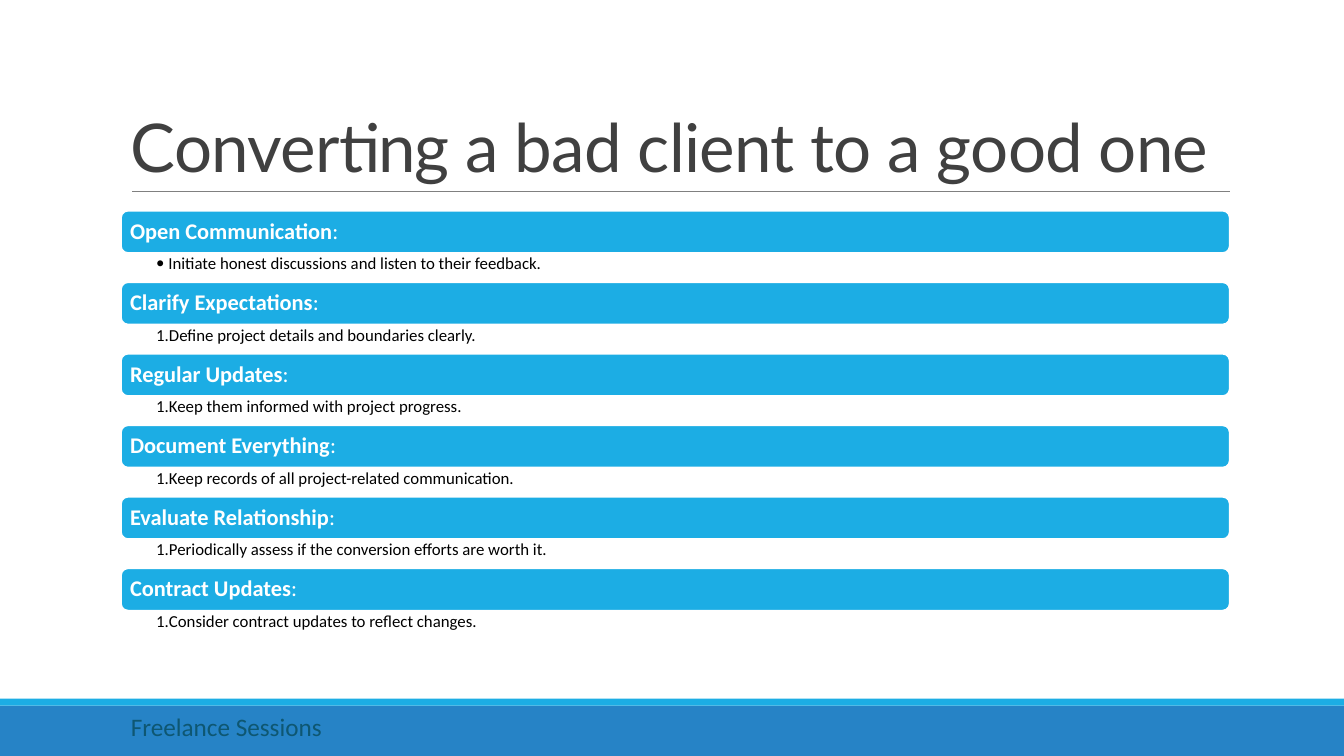
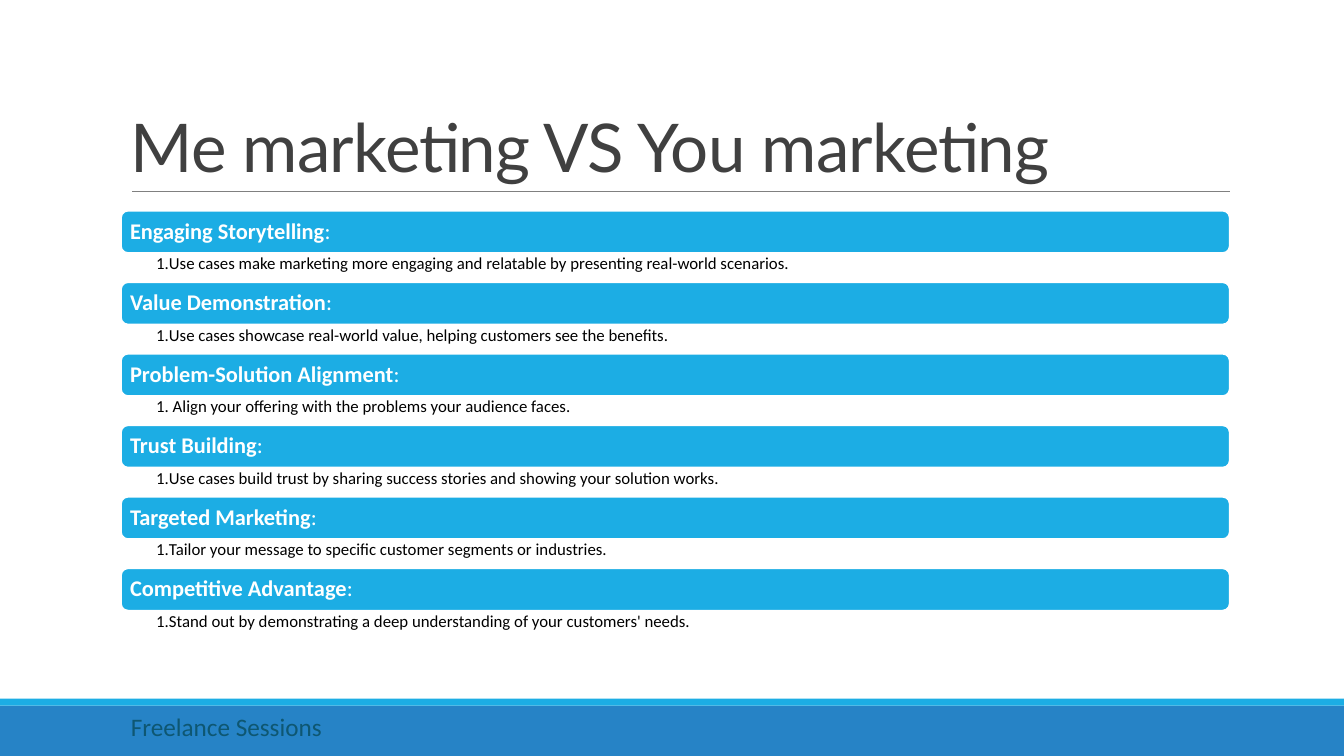
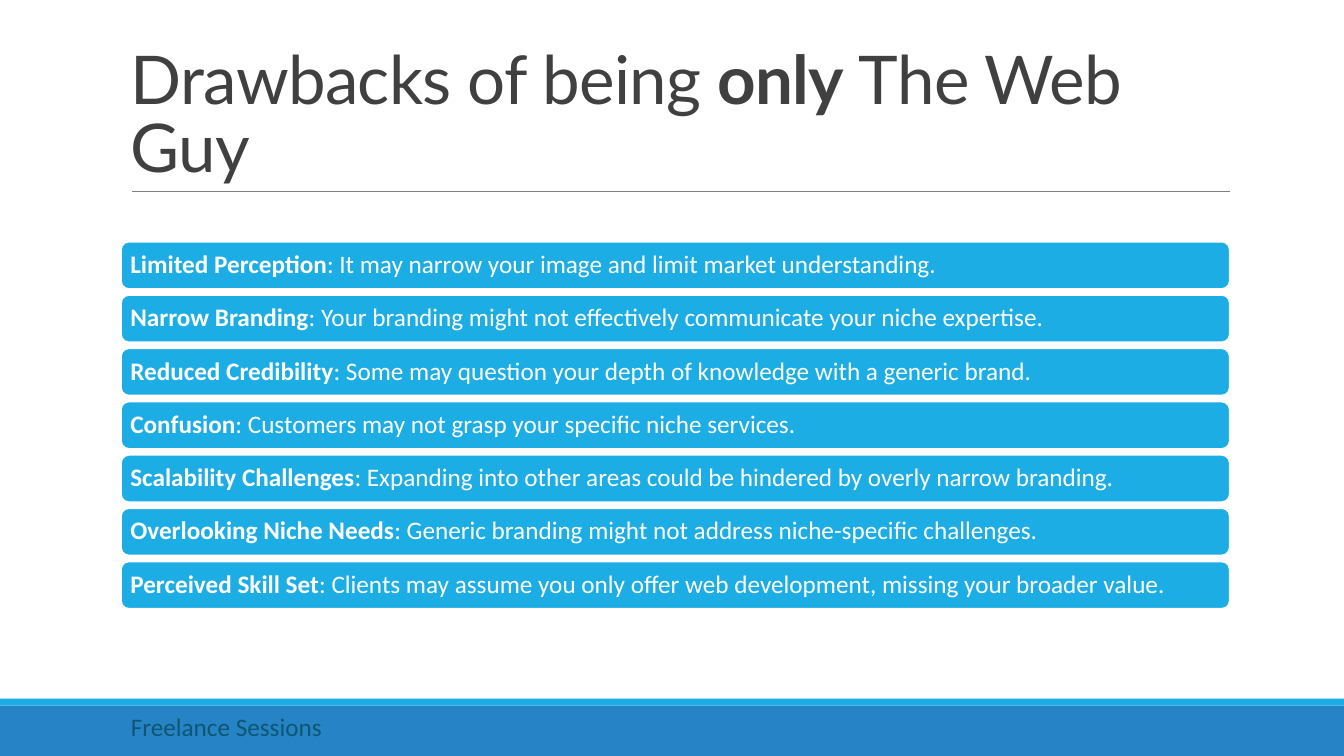
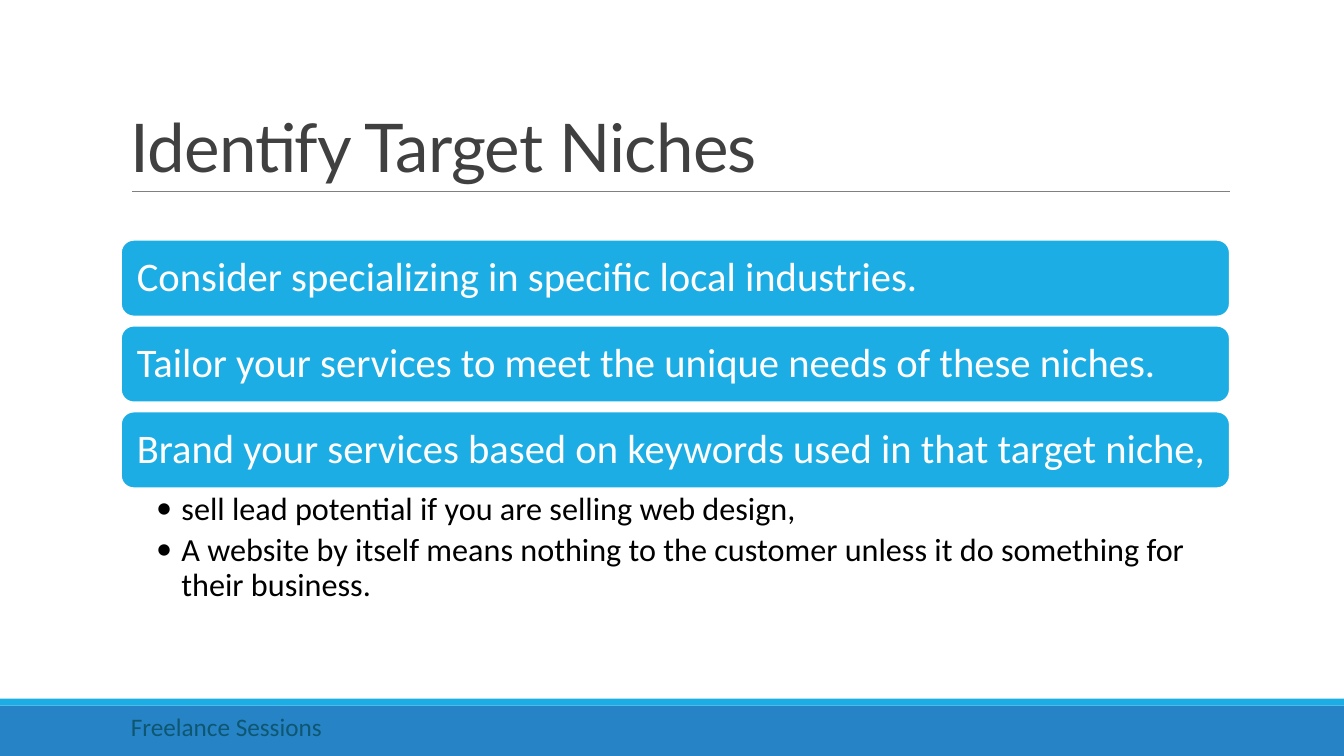
from dataclasses import dataclass

from lxml.etree import SubElement
from pptx import Presentation
from pptx.dml.color import RGBColor
from pptx.enum.shapes import MSO_CONNECTOR, MSO_SHAPE
from pptx.enum.text import MSO_ANCHOR, MSO_AUTO_SIZE, PP_ALIGN
from pptx.oxml.ns import qn
from pptx.util import Emu, Inches, Pt

SLIDE_WIDTH, SLIDE_HEIGHT = Inches(13.33), Inches(7.5)
LEFT, CONTENT_WIDTH = 9, 82.5  # percent of the slide width

BRIGHT_BLUE, DEEP_BLUE = "1CADE4", "2683C6"
WHITE, BLACK, RULE_GRAY = "FFFFFF", "000000", "808080"

BODY_FONT = "Calibri"
TITLE_FORMAT = {"name": "Lato", "size": Pt(48), "color": "404040"}
FOOTER_FORMAT = {"name": BODY_FONT, "size": Pt(18), "color": "0E5772"}
BULLET, NUMBER = ("a:buChar", "char", "•"), ("a:buAutoNum", "type", "arabicPeriod")


@dataclass
class StackStyle:
    """Look of a column of bars; top, bar, pitch and detail are percent of the slide height."""
    top: float
    bar: float
    pitch: float
    detail: float
    bar_size: int
    bar_inset: float
    detail_size: int = 12
    detail_insets: tuple = (0.35, 0.02, 0.12, 0.02)
    hanging: float = 0.12


HEADING_STACK = StackStyle(27.87, 5.6, 9.46, 3.87, 16, 0.07)
SENTENCE_STACK = StackStyle(31.97, 6.27, 7.05, 0, 18, 0.07)
LARGE_STACK = StackStyle(31.73, 10.13, 11.36, 16.13, 29, 0.12,
                         23, (0.35, 0.04, 0.23, 0.04), 0.25)


def color(hex_text):
    return RGBColor.from_string(hex_text)


def across(percent):
    return Emu(round(SLIDE_WIDTH * percent / 100))


def down(percent):
    return Emu(round(SLIDE_HEIGHT * percent / 100))


def place(left, top, width, height):
    return across(left), down(top), across(width), down(height)


def set_attributes(target, values):
    for name, value in values.items():
        setattr(target, name, value)


def set_frame(frame, insets=(0.1, 0.05, 0.1, 0.05), anchor=MSO_ANCHOR.TOP):
    sides = ("margin_left", "margin_top", "margin_right", "margin_bottom")
    set_attributes(frame, {"word_wrap": True, "vertical_anchor": anchor,
                           **dict(zip(sides, map(Inches, insets)))})


def write(paragraph, segments, font, line_spacing=1.0):
    """Fill a paragraph with (text, bold) segments in one font."""
    set_attributes(paragraph, {"alignment": PP_ALIGN.LEFT, "line_spacing": line_spacing})
    for text, bold in segments:
        run = paragraph.add_run()
        run.text = text
        set_attributes(run.font, {"name": font["name"], "size": font["size"], "bold": bold})
        run.font.color.rgb = color(font["color"])


def add_block(slide, kind, box, fill, outline=None):
    shape = slide.shapes.add_shape(kind, *place(*box))
    shape.shadow.inherit = False
    shape.fill.solid()
    shape.fill.fore_color.rgb = color(fill)
    if outline:
        shape.line.color.rgb = color(outline)
        shape.line.width = Pt(1.25)
    else:
        shape.line.fill.background()
    return shape


def add_rule(slide, start, end, height):
    rule = slide.shapes.add_connector(MSO_CONNECTOR.STRAIGHT, across(start), down(height),
                                      across(end), down(height))
    rule.line.color.rgb = color(RULE_GRAY)
    rule.line.width = Pt(0.5)
    SubElement(rule.element.spPr, qn("a:effectLst"))


def add_title(slide, segments):
    frame = slide.shapes.add_textbox(*place(LEFT, 4.13, CONTENT_WIDTH, 21.2)).text_frame
    set_frame(frame, anchor=MSO_ANCHOR.BOTTOM)
    write(frame.paragraphs[0], segments, TITLE_FORMAT, 0.85)
    for run in frame.paragraphs[0].runs:
        run.font._element.set("spc", "-50")


def add_footer(slide):
    frame = slide.shapes.add_textbox(*place(LEFT, 93.47, 58.36, 5.33)).text_frame
    set_frame(frame)
    frame.auto_size = MSO_AUTO_SIZE.SHAPE_TO_FIT_TEXT
    write(frame.paragraphs[0], [("Freelance Sessions", False)], FOOTER_FORMAT)


def add_base_slide(presentation, title):
    """Add a slide with the bands, rule, title and footer that all slides share."""
    slide = presentation.slides.add_slide(presentation.slide_layouts[6])
    add_block(slide, MSO_SHAPE.RECTANGLE, (0, 93.33, 100, 6.67), DEEP_BLUE)
    add_block(slide, MSO_SHAPE.RECTANGLE, (0, 92.4, 100, 0.93), BRIGHT_BLUE)
    add_rule(slide, 9.83, 91.55, 25.33)
    add_title(slide, title)
    add_footer(slide)
    return slide


def add_bar(slide, top, segments, style):
    bar = add_block(slide, MSO_SHAPE.ROUNDED_RECTANGLE,
                    (LEFT, top, CONTENT_WIDTH, style.bar), BRIGHT_BLUE, WHITE)
    inset = style.bar_inset
    set_frame(bar.text_frame, (inset,) * 4, MSO_ANCHOR.MIDDLE)
    font = {"name": BODY_FONT, "size": Pt(style.bar_size), "color": WHITE}
    write(bar.text_frame.paragraphs[0], segments, font, 0.9)


def set_marker(paragraph, marker, hanging):
    tag, attribute, value = marker
    properties = paragraph._p.get_or_add_pPr()
    properties.set("marL", str(Inches(hanging)))
    properties.set("indent", str(-Inches(hanging)))
    SubElement(properties, qn("a:buFont")).set("typeface", BODY_FONT)
    SubElement(properties, qn(tag)).set(attribute, value)


def add_details(slide, top, lines, marker, style):
    box = place(LEFT, top, CONTENT_WIDTH, style.detail)
    frame = slide.shapes.add_textbox(*box).text_frame
    set_frame(frame, style.detail_insets)
    font = {"name": BODY_FONT, "size": Pt(style.detail_size), "color": BLACK}
    for index, line in enumerate(lines):
        paragraph = frame.add_paragraph() if index else frame.paragraphs[0]
        write(paragraph, [(line, False)], font, 0.9)
        set_attributes(paragraph, {"level": 1, "space_after": Pt(style.detail_size * 0.2)})
        set_marker(paragraph, marker, style.hanging)


def add_stack(slide, rows, style):
    """Stack bars from (segments, detail lines, marker) rows."""
    for index, (segments, lines, marker) in enumerate(rows):
        top = style.top + index * style.pitch
        add_bar(slide, top, segments, style)
        if lines:
            add_details(slide, top + style.bar, lines, marker, style)


def heading_rows(pairs, first_marker=NUMBER):
    return [([(heading, True), (":", False)], [detail], NUMBER if index else first_marker)
            for index, (heading, detail) in enumerate(pairs)]


def sentence_rows(pairs):
    return [([(term, True), (f": {sentence}", False)], [], None) for term, sentence in pairs]


CLIENT_STEPS = [
    ("Open Communication", "Initiate honest discussions and listen to their feedback."),
    ("Clarify Expectations", "Define project details and boundaries clearly."),
    ("Regular Updates", "Keep them informed with project progress."),
    ("Document Everything", "Keep records of all project-related communication."),
    ("Evaluate Relationship", "Periodically assess if the conversion efforts are worth it."),
    ("Contract Updates", "Consider contract updates to reflect changes."),
]
MARKETING_POINTS = [
    ("Engaging Storytelling", "Use cases make marketing more engaging and relatable "
                              "by presenting real-world scenarios."),
    ("Value Demonstration", "Use cases showcase real-world value, "
                            "helping customers see the benefits."),
    ("Problem-Solution Alignment", " Align your offering with the problems your audience faces."),
    ("Trust Building", "Use cases build trust by sharing success stories "
                       "and showing your solution works."),
    ("Targeted Marketing", "Tailor your message to specific customer segments or industries."),
    ("Competitive Advantage", "Stand out by demonstrating a deep understanding "
                              "of your customers' needs."),
]
DRAWBACKS = [
    ("Limited Perception", "It may narrow your image and limit market understanding."),
    ("Narrow Branding", "Your branding might not effectively communicate your niche expertise."),
    ("Reduced Credibility", "Some may question your depth of knowledge with a generic brand."),
    ("Confusion", "Customers may not grasp your specific niche services."),
    ("Scalability Challenges", "Expanding into other areas could be hindered "
                               "by overly narrow branding."),
    ("Overlooking Niche Needs", "Generic branding might not address niche-specific challenges."),
    ("Perceived Skill Set", "Clients may assume you only offer web development, "
                            "missing your broader value."),
]
NICHE_STEPS = [
    ("Consider specializing in specific local industries.", []),
    ("Tailor your services to meet the unique needs of these niches.", []),
    ("Brand your services based on keywords used in that target niche,", [
        "sell lead potential if you are selling web design,",
        "A website by itself means nothing to the customer unless it do something "
        "for their business.",
    ]),
]


def main():
    presentation = Presentation()
    set_attributes(presentation, {"slide_width": SLIDE_WIDTH, "slide_height": SLIDE_HEIGHT})
    niche_rows = [([(text, False)], lines, BULLET) for text, lines in NICHE_STEPS]
    slides = [
        ([("Converting a bad client to a good one", False)],
         heading_rows(CLIENT_STEPS, BULLET), HEADING_STACK),
        ([("Me marketing VS You marketing", False)],
         heading_rows(MARKETING_POINTS), HEADING_STACK),
        ([("Drawbacks of being ", False), ("only", True), (" The Web Guy", False)],
         sentence_rows(DRAWBACKS), SENTENCE_STACK),
        ([("Identify Target Niches", False)], niche_rows, LARGE_STACK),
    ]
    for title, rows, style in slides:
        add_stack(add_base_slide(presentation, title), rows, style)
    presentation.save("out.pptx")


if __name__ == "__main__":
    main()
